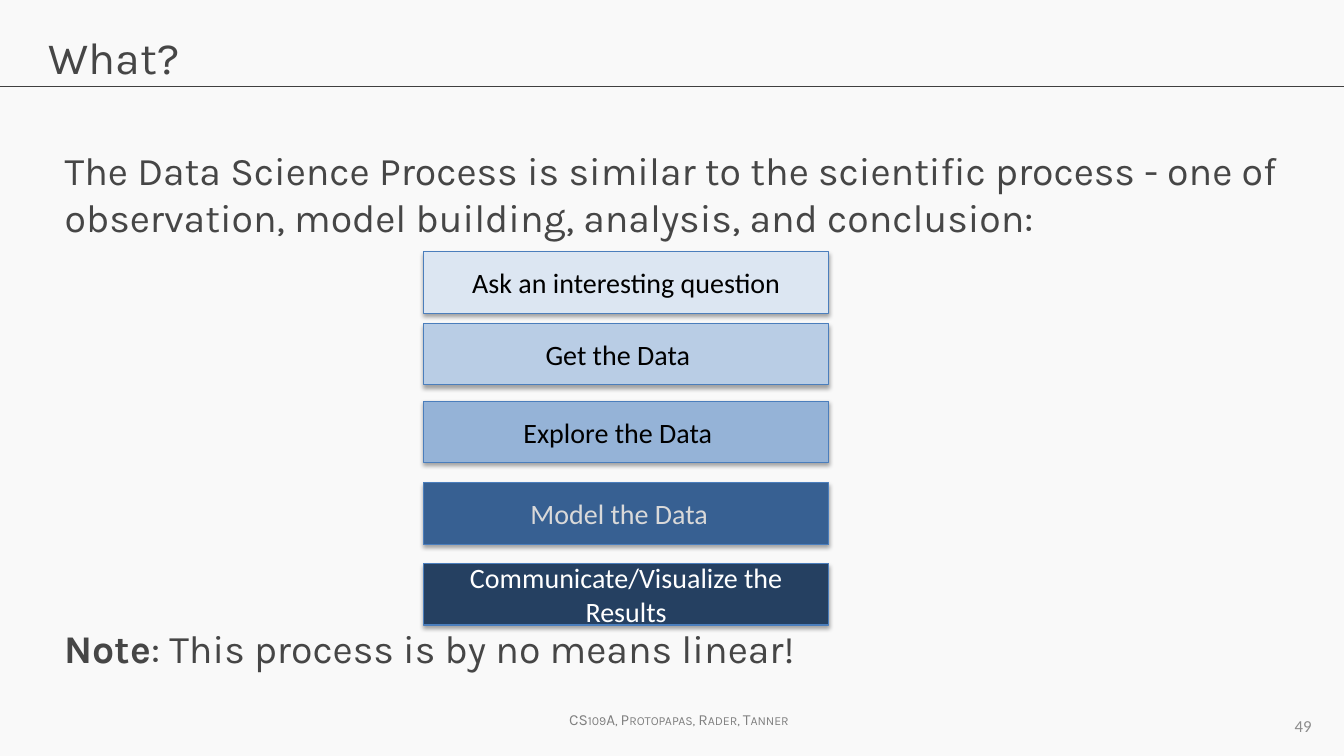
from dataclasses import dataclass

from lxml.etree import SubElement
from pptx import Presentation
from pptx.dml.color import RGBColor
from pptx.enum.shapes import MSO_CONNECTOR as Connector, MSO_SHAPE as Shape
from pptx.enum.text import MSO_ANCHOR as Anchor, MSO_AUTO_SIZE as AutoSize, PP_ALIGN as Align
from pptx.oxml.ns import qn
from pptx.util import Pt

BACKGROUND = RGBColor(0xF9, 0xF9, 0xF9)
RULE = RGBColor(0x40, 0x40, 0x40)
INK = RGBColor(0x46, 0x46, 0x46)
FOOTER = RGBColor(0x80, 0x80, 0x80)
NUMBER = RGBColor(0x8C, 0x8C, 0x8C)
OUTLINE = RGBColor(0x4B, 0x7E, 0xBC)
BLACK = RGBColor(0x00, 0x00, 0x00)
PALE_GRAY = RGBColor(0xD9, 0xD9, 0xD9)
WHITE = RGBColor(0xFF, 0xFF, 0xFF)

SLIDE_WIDTH, SLIDE_HEIGHT = 960, 540
STAGE_LEFT, STAGE_WIDTH, STAGE_HEIGHT = 302.5, 289.5, 44


@dataclass(frozen=True)
class Stage:
    label: str
    top: float
    fill: RGBColor
    color: RGBColor = BLACK
    right_inset: float = 7.2


STAGES = [
    Stage("Ask an interesting question", 180, RGBColor(0xDC, 0xE6, 0xF2)),
    Stage("Get the Data", 231, RGBColor(0xB9, 0xCD, 0xE5), right_inset=19),
    Stage("Explore the Data", 286.5, RGBColor(0x95, 0xB3, 0xD7), right_inset=19),
    Stage("Model the Data", 345, RGBColor(0x37, 0x60, 0x92), PALE_GRAY, 17),
    Stage("Communicate/Visualize the Results", 402.5, RGBColor(0x25, 0x40, 0x61), WHITE),
]


def place(shape, left: float, top: float, width: float, height: float) -> None:
    shape.left, shape.top = Pt(left), Pt(top)
    shape.width, shape.height = Pt(width), Pt(height)


def add_text(paragraph, text: str, *, size: float, color: RGBColor, font: str = "Karla",
             bold: bool = False, align: Align = Align.LEFT, small_caps: bool = False) -> None:
    paragraph.alignment = align
    run = paragraph.add_run()
    run.text = text
    run.font.name = font
    run.font.size = Pt(size)
    run.font.bold = bold
    run.font.color.rgb = color
    if small_caps:
        run.font._element.set("cap", "small")


def prepare_frame(shape, anchor: Anchor = Anchor.TOP, wrap: bool = True):
    frame = shape.text_frame
    frame.auto_size = AutoSize.NONE
    frame.word_wrap = wrap
    frame.vertical_anchor = anchor
    return frame


def remove_bullet(paragraph) -> None:
    properties = paragraph._p.get_or_add_pPr()
    properties.set("marL", "0")
    properties.set("indent", "0")
    SubElement(properties, qn("a:buNone"))


def add_shadow(shape) -> None:
    shape.shadow.inherit = False
    effects = shape._element.spPr.find(qn("a:effectLst"))
    shadow = SubElement(effects, qn("a:outerShdw"), blurRad=str(Pt(3.1)),
                        dist=str(Pt(1.8)), dir="5400000", rotWithShape="0")
    color = SubElement(shadow, qn("a:srgbClr"), val=str(BLACK))
    SubElement(color, qn("a:alpha"), val="35000")


def add_rule(slide) -> None:
    rule = slide.shapes.add_connector(Connector.STRAIGHT, Pt(0), Pt(62), Pt(SLIDE_WIDTH), Pt(62))
    rule.line.color.rgb = RULE
    rule.line.width = Pt(0.75)
    SubElement(rule._element.spPr, qn("a:effectLst"))


def fill_title(slide) -> None:
    title = slide.shapes.title
    place(title, 27.5, 17.5, 905, 60.5)
    add_text(prepare_frame(title).paragraphs[0], "What?", size=32, color=INK)


def fill_body(slide) -> None:
    body = slide.placeholders[1]
    place(body, 39, 101, 883.5, 403)
    frame = prepare_frame(body)
    intro, note = frame.paragraphs[0], frame.add_paragraph()
    for paragraph, space_before in ((intro, 0), (note, 262)):
        remove_bullet(paragraph)
        paragraph.space_before = Pt(space_before)
        paragraph.space_after = Pt(12)
    add_text(intro, "The Data Science Process is similar to the scientific process - one of "
             "observation, model building, analysis, and conclusion:", size=28, color=INK)
    add_text(note, "Note", size=28, color=INK, bold=True)
    add_text(note, ": This process is by no means linear!", size=28, color=INK)


def add_stage(slide, stage: Stage) -> None:
    shape = slide.shapes.add_shape(Shape.RECTANGLE, Pt(STAGE_LEFT), Pt(stage.top),
                                   Pt(STAGE_WIDTH), Pt(STAGE_HEIGHT))
    shape.fill.solid()
    shape.fill.fore_color.rgb = stage.fill
    shape.line.color.rgb = OUTLINE
    shape.line.width = Pt(0.75)
    add_shadow(shape)
    frame = prepare_frame(shape, Anchor.MIDDLE)
    frame.margin_top = frame.margin_bottom = Pt(0)
    frame.margin_right = Pt(stage.right_inset)
    add_text(frame.paragraphs[0], stage.label, size=20, color=stage.color,
             font="Calibri", align=Align.CENTER)


def add_footer(slide) -> None:
    credit = slide.shapes.add_textbox(Pt(395), Pt(504), Pt(180), Pt(21))
    add_text(prepare_frame(credit, wrap=False).paragraphs[0], "CS109A, Protopapas, Rader, Tanner",
             size=11, color=FOOTER, align=Align.CENTER, small_caps=True)
    number = slide.shapes.add_textbox(Pt(720), Pt(504), Pt(224), Pt(29))
    add_text(prepare_frame(number, Anchor.MIDDLE).paragraphs[0], "49",
             size=12, color=NUMBER, font="Calibri", align=Align.RIGHT)


def main() -> None:
    presentation = Presentation()
    presentation.slide_width, presentation.slide_height = Pt(SLIDE_WIDTH), Pt(SLIDE_HEIGHT)
    slide = presentation.slides.add_slide(presentation.slide_layouts[1])
    slide.background.fill.solid()
    slide.background.fill.fore_color.rgb = BACKGROUND
    add_rule(slide)
    fill_title(slide)
    fill_body(slide)
    for stage in STAGES:
        add_stage(slide, stage)
    add_footer(slide)
    presentation.save("out.pptx")


if __name__ == "__main__":
    main()
